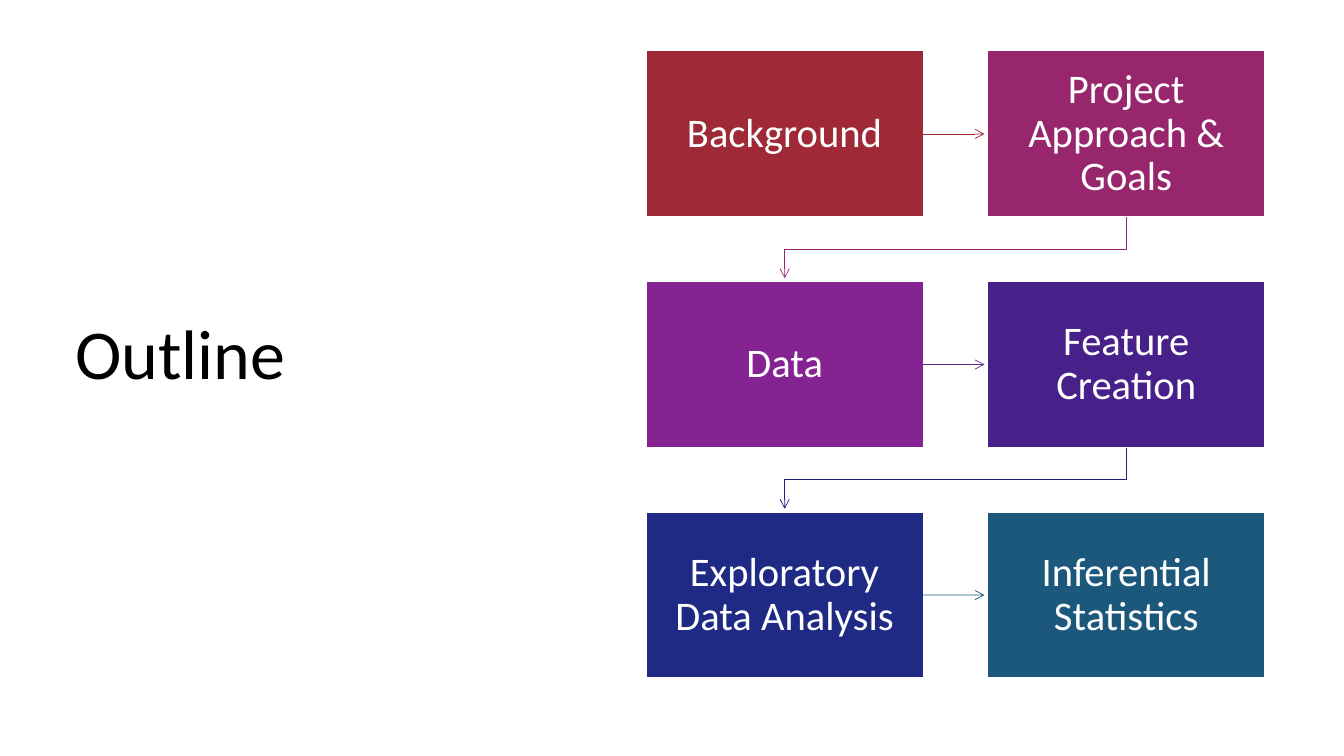
from dataclasses import dataclass

from lxml.etree import SubElement
from pptx import Presentation
from pptx.dml.color import RGBColor
from pptx.enum.shapes import MSO_CONNECTOR, MSO_SHAPE
from pptx.enum.text import MSO_ANCHOR, PP_ALIGN
from pptx.oxml.ns import qn
from pptx.shapes.autoshape import Shape
from pptx.slide import Slide
from pptx.text.text import TextFrame
from pptx.util import Cm, Pt

# Grid of topic boxes, in centimetres
LEFT, TOP = 16.28, 1.28
BOX_W, BOX_H = 6.99, 4.19
STEP_X, STEP_Y = 8.61, 5.81
COLUMNS = 2
ARROW_GAP = 0.08  # space between an arrowhead and the next box
RIGHT_SIDE = 3


@dataclass
class Topic:
    text: str
    fill: str
    arrow: str = ""  # colour of the arrow to the next topic


TOPICS = [
    Topic("Background", "9F2936", "9F2936"),
    Topic("Project Approach & Goals", "98266C", "962579"),
    Topic("Data", "842391", "66228E"),
    Topic("Feature Creation", "48208A", "1E1E85"),
    Topic("Exploratory Data Analysis", "1E2A83", "1B587C"),
    Topic("Inferential Statistics", "1B587C"),
]


def rgb(value: str) -> RGBColor:
    return RGBColor.from_string(value)


def box_origin(index: int) -> tuple[float, float]:
    row, column = divmod(index, COLUMNS)
    return LEFT + column * STEP_X, TOP + row * STEP_Y


def set_text(tf: TextFrame, text: str, size: float, color: str,
             align: PP_ALIGN) -> None:
    tf.word_wrap = True
    tf.vertical_anchor = MSO_ANCHOR.MIDDLE
    p = tf.paragraphs[0]
    p.text = text
    p.alignment = align
    p.line_spacing = 0.9
    p.font.name = "Calibri"
    p.font.size = Pt(size)
    p.font.color.rgb = rgb(color)


def add_box(s: Slide, index: int, topic: Topic) -> Shape:
    x, y = box_origin(index)
    sp = s.shapes.add_shape(MSO_SHAPE.RECTANGLE, Cm(x), Cm(y), Cm(BOX_W), Cm(BOX_H))
    sp.shadow.inherit = False
    sp.fill.solid()
    sp.fill.fore_color.rgb = rgb(topic.fill)
    sp.line.color.rgb = rgb("FFFFFF")
    sp.line.width = Pt(1)
    tf = sp.text_frame
    tf.margin_left = tf.margin_right = Cm(0.34)
    tf.margin_top = tf.margin_bottom = Cm(0.36)
    set_text(tf, topic.text, 29, "FFFFFF", PP_ALIGN.CENTER)
    return sp


def add_arrow(s: Slide, index: int, box: Shape, color: str) -> None:
    x, y = box_origin(index)
    next_x, next_y = box_origin(index + 1)
    if next_y == y:
        # Straight arrow to the box on the right
        middle = Cm(y + BOX_H / 2)
        arrow = s.shapes.add_connector(MSO_CONNECTOR.STRAIGHT, Cm(x + BOX_W), middle,
                                       Cm(next_x - ARROW_GAP), middle)
        arrow.begin_connect(box, RIGHT_SIDE)
        SubElement(arrow.element.spPr, qn("a:effectLst"))
    else:
        # Bent arrow to the first box of the next row
        start_x, end_x = Cm(x + BOX_W / 2), Cm(next_x + BOX_W / 2)
        bottom = y + BOX_H
        bend = Cm((bottom + next_y) / 2)
        builder = s.shapes.build_freeform(start_x, Cm(bottom))
        builder.add_line_segments([(start_x, bend), (end_x, bend),
                                   (end_x, Cm(next_y - ARROW_GAP))], close=False)
        arrow = builder.convert_to_shape()
        arrow.fill.background()
        arrow.shadow.inherit = False
    arrow.line.color.rgb = rgb(color)
    arrow.line.width = Pt(0.5)
    SubElement(arrow.element.spPr.find(qn("a:ln")), qn("a:tailEnd"), type="arrow")


def main() -> None:
    prs = Presentation()
    prs.slide_width, prs.slide_height = Cm(33.87), Cm(19.05)
    s = prs.slides.add_slide(prs.slide_layouts[6])

    # Title
    title = s.shapes.add_textbox(Cm(1.65), Cm(3.35), Cm(10.77), Cm(11.3))
    set_text(title.text_frame, "Outline", 50, "000000", PP_ALIGN.LEFT)

    # Topics and the arrows between them
    for index, topic in enumerate(TOPICS):
        box = add_box(s, index, topic)
        if topic.arrow:
            add_arrow(s, index, box, topic.arrow)

    prs.save("out.pptx")


if __name__ == "__main__":
    main()
